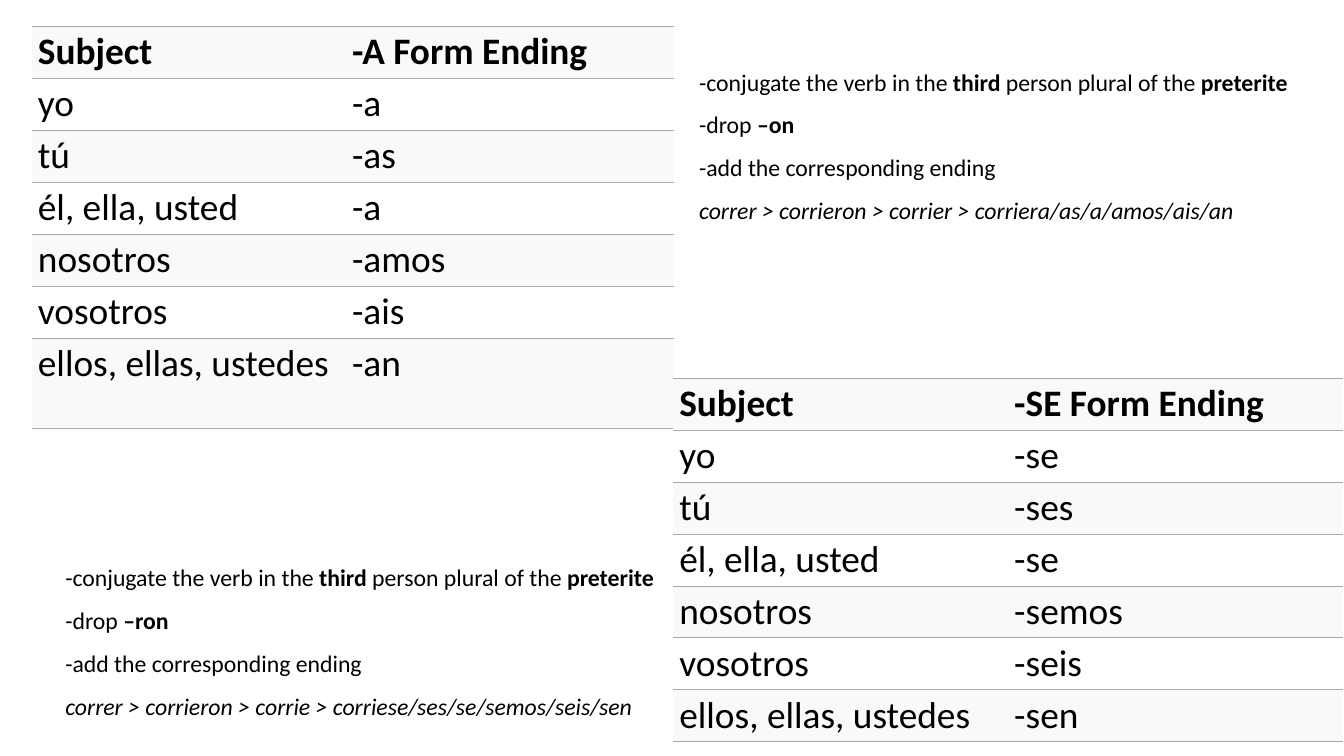
from lxml.etree import SubElement
from pptx import Presentation
from pptx.dml.color import RGBColor
from pptx.enum.text import MSO_AUTO_SIZE
from pptx.oxml import parse_xml
from pptx.oxml.ns import nsdecls, qn
from pptx.util import Inches, Pt

WIDTH, HEIGHT = 21.99, 12.37
FONT = "Calibri"
BLACK = RGBColor(0x00, 0x00, 0x00)
BAND = RGBColor(0xF9, 0xF9, 0xF9)
RULE = RGBColor(0xAA, 0xAA, 0xAA)
NO_GRID_STYLE = "{2D5ABB26-0587-4C30-8999-92F81FD0307C}"
ROW = 0.85

subjects = ["yo", "tú", "él, ella, usted", "nosotros", "vosotros", "ellos, ellas, ustedes"]
forms = [
    {
        "heading": "-A Form Ending",
        "endings": ["-a", "-as", "-a", "-amos", "-ais", "-an"],
        "table_at": (0.52, 0.43),
        "columns": (5.14, 5.36),
        "last_row": 1.47,
        "dropped": "–on",
        "example": "correr > corrieron > corrier > corriera/as/a/amos/ais/an",
        "steps_at": (11.34, 0.82),
    },
    {
        "heading": "-SE Form Ending",
        "endings": ["-se", "-ses", "-se", "-semos", "-seis", "-sen"],
        "table_at": (WIDTH / 2 + 0.02, HEIGHT / 2),
        "columns": (5.48, 5.48),
        "last_row": ROW,
        "dropped": "–ron",
        "example": "correr > corrieron > corrie > corriese/ses/se/semos/seis/sen",
        "steps_at": (0.97, 8.93),
    },
]


def style(run, size, bold=False, italic=False):
    run.font.name = FONT
    run.font.size = Pt(size)
    run.font.color.rgb = BLACK
    run.font.bold = bold
    run.font.italic = italic


def rule_cell(cell):
    properties = cell._tc.get_or_add_tcPr()
    for position, side in enumerate(("lnT", "lnB")):
        properties.insert(position, parse_xml(
            f'<a:{side} {nsdecls("a")} w="{Pt(0.75)}"><a:solidFill>'
            f'<a:srgbClr val="{RULE}"/></a:solidFill></a:{side}>'))


def add_endings(slide, form):
    entries = [("Subject", form["heading"]), *zip(subjects, form["endings"])]
    heights = [ROW] * len(subjects) + [form["last_row"]]
    frame = slide.shapes.add_table(
        len(entries), 2, *map(Inches, form["table_at"]),
        Inches(sum(form["columns"])), Inches(sum(heights)))
    table = frame.table
    table._tbl.tblPr.find(qn("a:tableStyleId")).text = NO_GRID_STYLE
    for column, width in zip(table.columns, form["columns"]):
        column.width = Inches(width)
    for r, (entry, height) in enumerate(zip(entries, heights)):
        table.rows[r].height = Inches(height)
        for c, wording in enumerate(entry):
            cell = table.cell(r, c)
            cell.text_frame.text = wording
            style(cell.text_frame.paragraphs[0].runs[0], 44, bold=r == 0)
            if r % 2 == 0:
                cell.fill.solid()
                cell.fill.fore_color.rgb = BAND
            else:
                cell.fill.background()
            rule_cell(cell)


def add_steps(slide, form):
    steps = [
        [("-conjugate the verb in the ", ""), ("third", "bold"),
         (" person plural of the ", ""), ("preterite", "bold")],
        [("-drop ", ""), (form["dropped"], "bold")],
        [("-add the corresponding ending", "")],
        [(form["example"], "italic")],
    ]
    box = slide.shapes.add_textbox(*map(Inches, (*form["steps_at"], 10.33, 2.86)))
    text_frame = box.text_frame
    text_frame.word_wrap = True
    text_frame.auto_size = MSO_AUTO_SIZE.SHAPE_TO_FIT_TEXT
    for i, step in enumerate(steps):
        paragraph = text_frame.add_paragraph() if i else text_frame.paragraphs[0]
        paragraph.line_spacing = 1.5
        for wording, emphasis in step:
            run = paragraph.add_run()
            run.text = wording
            style(run, 28, emphasis == "bold", emphasis == "italic")


presentation = Presentation()
presentation.slide_width = Inches(WIDTH)
presentation.slide_height = Inches(HEIGHT)
slide = presentation.slides.add_slide(presentation.slide_layouts[6])
for add_part in (add_endings, add_steps):
    for form in forms:
        add_part(slide, form)
presentation.save("out.pptx")
